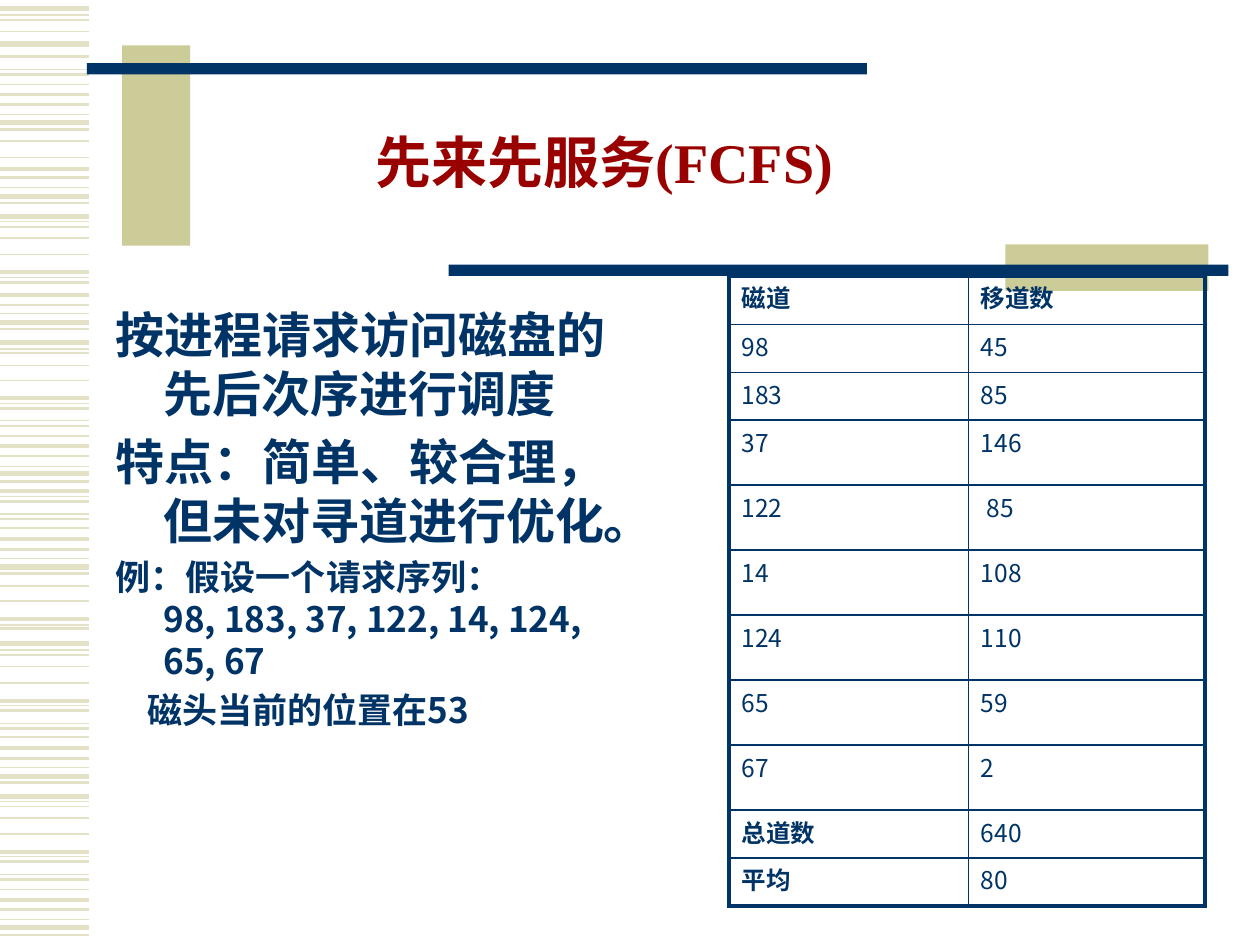
from lxml.etree import SubElement
from pptx import Presentation
from pptx.dml.color import RGBColor
from pptx.enum.shapes import MSO_CONNECTOR, MSO_SHAPE
from pptx.enum.text import MSO_ANCHOR, PP_ALIGN
from pptx.oxml.ns import qn
from pptx.util import Inches, Pt

NAVY, SAND, PALE, RED = "003366", "CCCC99", "E3E2C7", "990000"
SANS = "Noto Sans CJK SC"
hue = RGBColor.from_string

deck = Presentation()
deck.slide_width, deck.slide_height = Inches(10), Inches(7.5)
page = deck.slides.add_slide(deck.slide_layouts[6])
shapes = page.shapes

# Grid of 100 columns by 75 rows
unit = deck.slide_width // 100


def span(*cells):
    return [round(cell * unit) for cell in cells]


def write(para, text, size=14, font=SANS, color=NAVY, bold=True,
          align=PP_ALIGN.LEFT, line=0.9, before=0, left=0, first=0):
    para.alignment, para.line_spacing, para.space_before = align, line, Pt(before)
    props = para._p.get_or_add_pPr()
    props.set("marL", str(round(left * unit)))
    props.set("indent", str(round(first * unit)))
    para.text = text
    for run in para.runs:
        run.font.size, run.font.name, run.font.bold = Pt(size), font, bold
        run.font.color.rgb = hue(color)
        SubElement(run._r.get_or_add_rPr(), qn("a:ea"), typeface=SANS)


# Stripes down the left edge: line width, then rows
stripes = {
    0.75: [1.2, 5.5, 9.1, 14.9, 17.6, 22, 24.9, 27.7, 32, 33.4, 37, 39.4, 40.8,
           44.3, 49.6, 51.6, 56, 57.4, 60.9, 63.6, 68, 69.4, 73],
    1: [1.6, 2.5, 6.7, 11.2, 12.5, 18, 18.9, 20.2, 28, 29, 30.2, 34.6, 41.9,
        46.5, 47.7, 52, 52.9, 54.2, 58.5, 64, 64.9, 66.2, 70.6],
    1.5: [4.5, 5.9, 8.3, 10.3, 14.1, 16.1, 22.4, 24.2, 26.1, 32.4, 33.8, 36.2,
          38.2, 39.8, 41.2, 43.6, 45.5, 49.9, 56.4, 57.8, 60.2, 62.1, 68.4,
          69.8, 72.2, 74.2],
    2.25: [7.5, 13.4, 21.6, 23.4, 31.6, 35.4, 39, 42.8, 49.1, 55.6, 59.4, 67.6,
           71.4],
    3: [0.7, 3.5, 9.7, 15.6, 17.2, 25.6, 27.2, 37.6, 45, 51.1, 61.6, 63.2, 73.6],
}
for width, rows in stripes.items():
    for row in rows:
        stripe = shapes.add_connector(MSO_CONNECTOR.STRAIGHT, *span(0, row, 7.1, row))
        stripe.line.color.rgb, stripe.line.width = hue(PALE), Pt(width)
        SubElement(stripe._element.spPr, qn("a:effectLst"))

# Sand blocks crossed by navy bars
for color, *area in [(SAND, 9.7, 3.6, 5.4, 15.9), (NAVY, 6.9, 5, 61.9, 0.9),
                     (SAND, 79.8, 19.4, 16.1, 3.7), (NAVY, 35.6, 21, 61.9, 0.9)]:
    bar = shapes.add_shape(MSO_SHAPE.RECTANGLE, *span(*area))
    bar.shadow.inherit = False
    bar.fill.solid()
    bar.fill.fore_color.rgb = hue(color)
    bar.line.fill.background()

# Title
title = shapes.add_textbox(*span(4.2, 8.9, 87.5, 6.6)).text_frame
title.word_wrap, title.vertical_anchor = True, MSO_ANCHOR.BOTTOM
title.margin_bottom = 0
write(title.paragraphs[0], "先来先服务(FCFS)", size=32, font="Times New Roman",
      color=RED, align=PP_ALIGN.CENTER)

# Body: text, size, font, space before, first-line indent
body = shapes.add_textbox(*span(8.2, 23.7, 42.9, 35.6)).text_frame
body.word_wrap = True
points = [
    ("按进程请求访问磁盘的先后次序进行调度", 28, "Arial", 2, -3.8),
    ("特点：简单、较合理，但未对寻道进行优化。", 28, "Arial", 5, -3.8),
    ("例：假设一个请求序列：\v98, 183, 37, 122, 14, 124, 65, 67", 20, SANS, 4, -3.8),
    ("磁头当前的位置在53", 20, SANS, 4, -1.3),
]
for rank, (text, size, font, before, first) in enumerate(points):
    para = body.add_paragraph() if rank else body.paragraphs[0]
    write(para, text, size=size, font=font, before=before, line=1.0,
          left=3.8, first=first)

# Table of tracks and head moves
moves = [("磁道", "移道数"), ("98", "45"), ("183", "85"), ("37", "146"),
         ("122", " 85"), ("14", "108"), ("124", "110"), ("65", "59"),
         ("67", "2"), ("总道数", "640"), ("平均", "80")]
high = [3.85] + [3.8] * 2 + [5.16] * 6 + [3.8] * 2
last = len(moves) - 1
frame = shapes.add_table(len(moves), 2, *span(57.85, 21.9, 37.8, sum(high)))
table = frame.table
table.first_row = table.horz_banding = False
for col, width in zip(table.columns, span(19, 18.8)):
    col.width = width
for r, pair in enumerate(moves):
    table.rows[r].height = span(high[r])[0]
    for c, text in enumerate(pair):
        cell = table.cell(r, c)
        write(cell.text_frame.paragraphs[0], text,
              bold=r == 0 or (c == 0 and r >= last - 1))
        # Heavy outer border, thin inner rules; borders come before the fill
        props = cell._tc.get_or_add_tcPr()
        for side, outer in [("L", c == 0), ("R", c == 1),
                            ("T", r == 0), ("B", r == last)]:
            edge = SubElement(props, qn(f"a:ln{side}"), w=str(Pt(2.25 if outer else 1)))
            SubElement(SubElement(edge, qn("a:solidFill")), qn("a:srgbClr"), val=NAVY)
        cell.fill.background()

deck.save("out.pptx")
